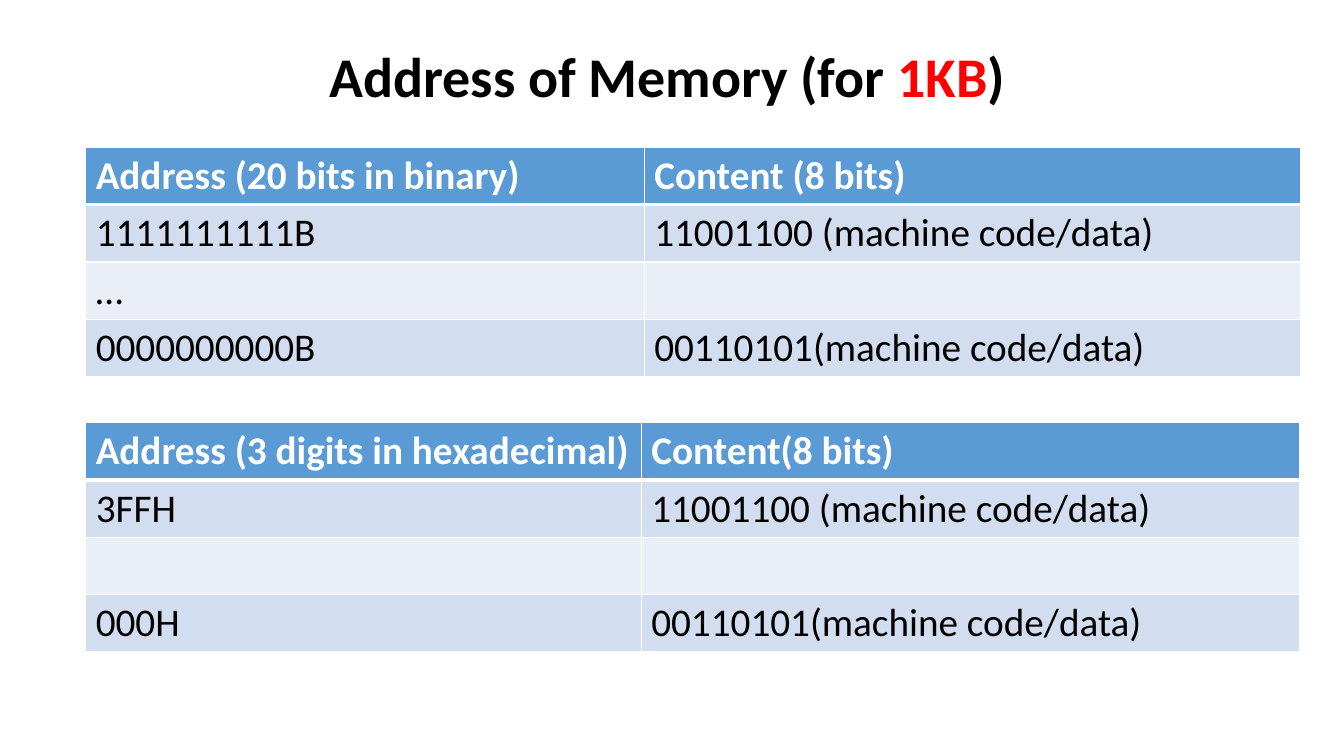
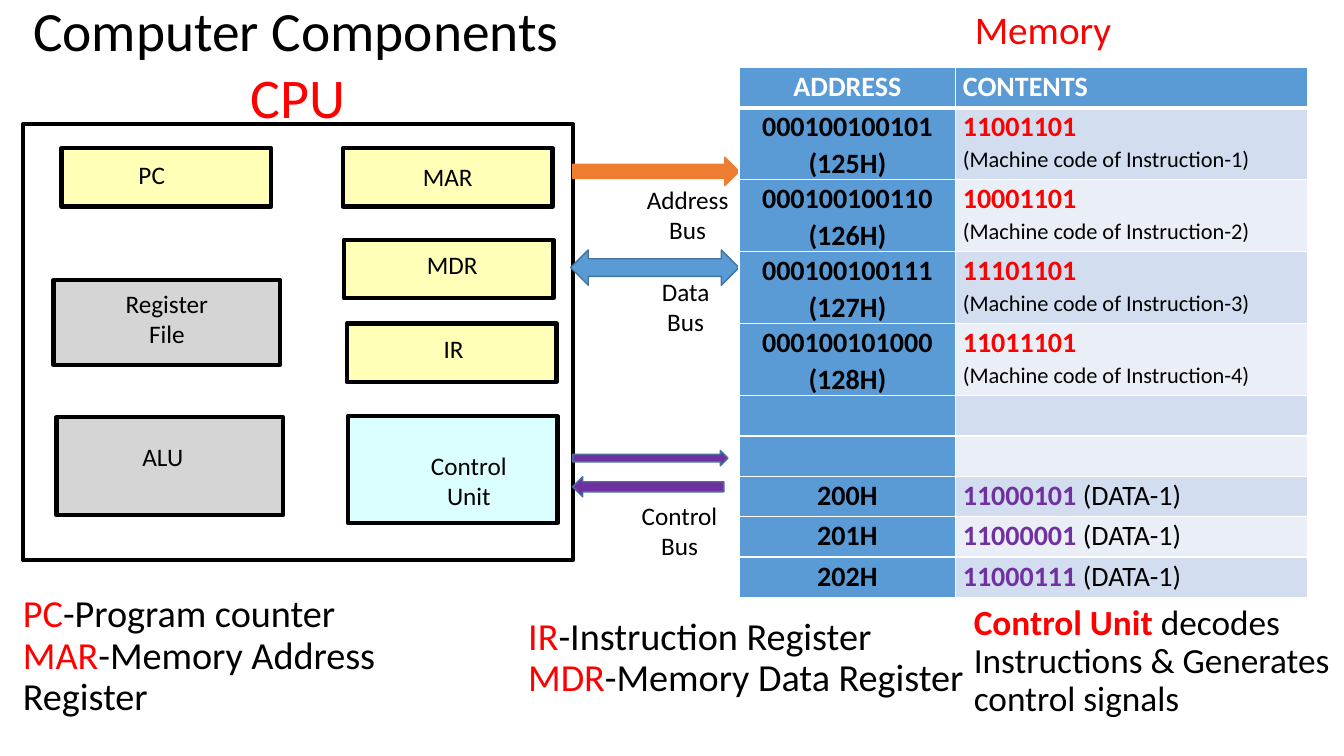
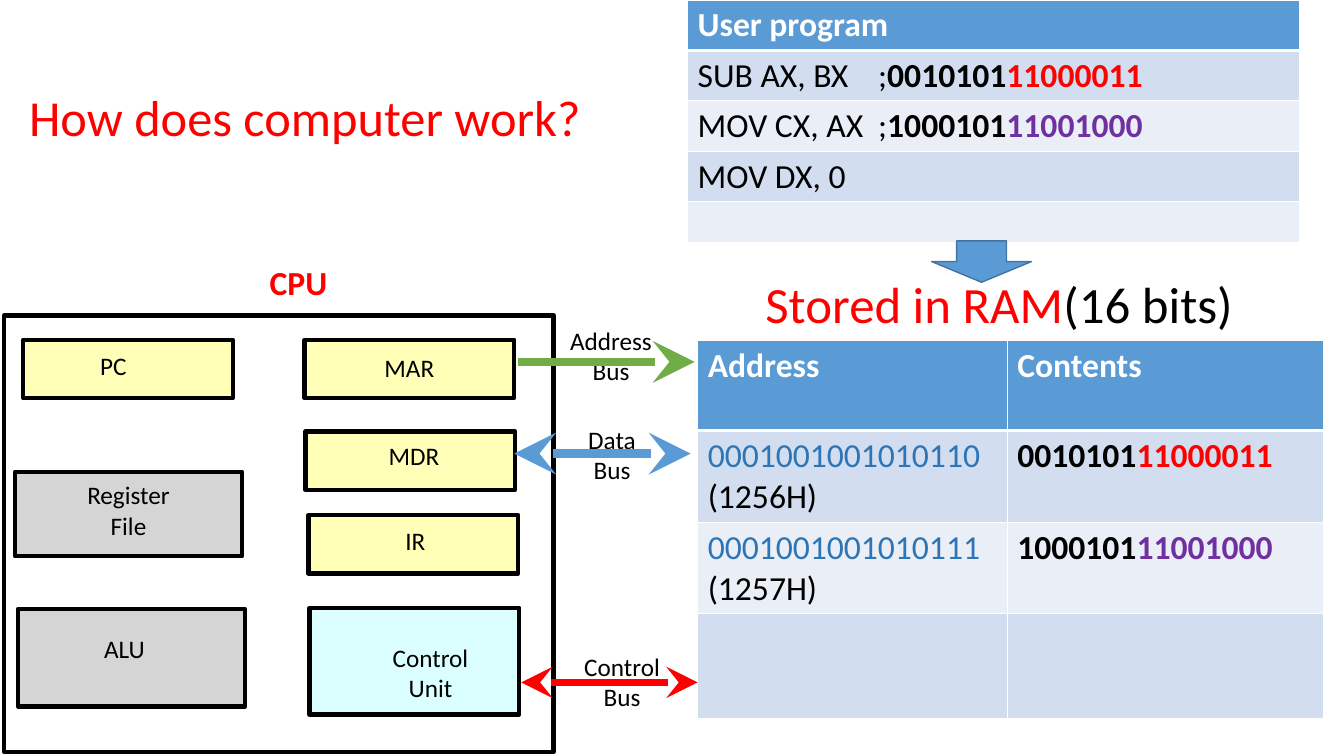
from lxml.etree import SubElement
from pptx import Presentation
from pptx.dml.color import RGBColor
from pptx.enum.shapes import MSO_CONNECTOR, MSO_SHAPE
from pptx.enum.text import MSO_ANCHOR, MSO_AUTO_SIZE, PP_ALIGN
from pptx.oxml.ns import qn
from pptx.util import Emu, Pt

FONT = "Calibri"
BLACK = RGBColor(0x00, 0x00, 0x00)
WHITE = RGBColor(0xFF, 0xFF, 0xFF)
RED = RGBColor(0xFF, 0x00, 0x00)
PURPLE = RGBColor(0x70, 0x30, 0xA0)
BLUE = RGBColor(0x5B, 0x9B, 0xD5)
DARK_BLUE = RGBColor(0x43, 0x73, 0x9E)
ADDRESS_BLUE = RGBColor(0x2E, 0x75, 0xB6)
ORANGE = RGBColor(0xED, 0x7D, 0x31)
GREEN = RGBColor(0x70, 0xAD, 0x47)
BANDS = (RGBColor(0xD2, 0xDE, 0xEF), RGBColor(0xEA, 0xEF, 0xF7))
YELLOW = RGBColor(0xFF, 0xFF, 0x99)
GREY = RGBColor(0xC4, 0xC4, 0xC4)
CYAN = RGBColor(0xCC, 0xFF, 0xFF)

# A line of text is a string or a list of runs: (text, colour, bold, size)

BINARY_ROWS = [
    ("Address (20 bits in binary)", "Content (8 bits)"),
    ("1111111111B", "11001100 (machine code/data)"),
    ("…", ""),
    ("0000000000B", "00110101(machine code/data)"),
]
HEXADECIMAL_ROWS = [
    ("Address (3 digits in hexadecimal)", "Content(8 bits)"),
    ("3FFH", "11001100 (machine code/data)"),
    ("", ""),
    ("000H", "00110101(machine code/data)"),
]

INSTRUCTIONS = [
    ("000100100101", "125H", "11001101"),
    ("000100100110", "126H", "10001101"),
    ("000100100111", "127H", "11101101"),
    ("000100101000", "128H", "11011101"),
]
DATA = [("200H", "11000101"), ("201H", "11000001"), ("202H", "11000111")]
MEMORY_ROWS = [
    ("ADDRESS", "CONTENTS"),
    *[([address, f"({short})"],
       [[(code, RED, True)],
        [(f"(Machine code of Instruction-{number})", BLACK, False, 16)]])
      for number, (address, short, code) in enumerate(INSTRUCTIONS, 1)],
    ("", ""),
    ("", ""),
    *[(address, [[(value + " ", PURPLE, True), ("(DATA-1)", BLACK)]])
      for address, value in DATA],
]

SUB_CODE = [("0010101", BLACK, True), ("11000011", RED, True)]
MOV_CODE = [("1000101", BLACK, True), ("11001000", PURPLE, True)]
PROGRAM_ROWS = [
    ("User program",),
    ([[("SUB AX, BX\t;", BLACK), *SUB_CODE]],),
    ([[("MOV CX, AX\t;", BLACK), *MOV_CODE]],),
    ("MOV DX, 0",),
    ("",),
]
RAM_ROWS = [
    ("Address", "Contents"),
    ([[("0001001001010110", ADDRESS_BLUE)], "(1256H)"], [SUB_CODE]),
    ([[("0001001001010111", ADDRESS_BLUE)], "(1257H)"], [MOV_CODE]),
    ("", ""),
]

# Box and label places are measured from the corner of the CPU diagram
CPU_FRAME_SIZE = (545, 433)
REGISTER_SIZE = (208, 58)
CPU_PARTS = [  # fill, box corner, box size, label lines, label left, top, width
    (GREY, (30, 155), (225, 84), ["Register", "File"], (91, 158, 103)),
    (GREY, (33, 291), (225, 97), ["ALU"], (108, 310, 61)),
    (CYAN, (322, 290), (208, 106), ["Control", "Unit"], (394, 319, 96)),
    (YELLOW, (321, 198), REGISTER_SIZE, ["IR"], (407, 203, 40)),
    (YELLOW, (38, 24), REGISTER_SIZE, ["PC"], (104, 30, 47)),
    (YELLOW, (317, 24), REGISTER_SIZE, ["MAR"], (386, 32, 70)),
    (YELLOW, (318, 115), REGISTER_SIZE, ["MDR"], (390, 119, 71)),
]

BUS_WIDTHS = {"Address": 102, "Data": 68, "Control": 96}
COMPONENT_BUS_LABELS = {"Address": (631, 178), "Data": (646, 269),
                        "Control": (626, 491)}
WORK_BUS_LABELS = {"Address": (555, 318), "Data": (573, 416),
                   "Control": (569, 641)}
BUS_ARROWS = [
    (MSO_SHAPE.RIGHT_ARROW, (568, 156, 165, 28), ORANGE, ORANGE),
    (MSO_SHAPE.LEFT_RIGHT_ARROW, (566, 248, 167, 35), BLUE, DARK_BLUE),
    (MSO_SHAPE.RIGHT_ARROW, (568, 447, 154, 15), PURPLE, DARK_BLUE),
    (MSO_SHAPE.LEFT_ARROW, (568, 473, 150, 20), PURPLE, DARK_BLUE),
]
BUS_LINE_LENGTH = 175
BUS_LINES = [  # left, y, colour, points, both ends
    (514, 359, GREEN, 6, False),
    (510, 450, BLUE, 6, True),
    (517, 677, RED, 4.5, True),
]
NOTES = [
    ((13, 583, 490, 137), 27.3,
     [[("PC", RED), ("-Program counter", BLACK)],
      [("MAR", RED), ("-Memory Address Register", BLACK)]]),
    ((514, 585, 475, 137), 27.3,
     [[("IR", RED), ("-Instruction Register", BLACK)],
      [("MDR", RED), ("-Memory Data Register", BLACK)]]),
    ((956, 588, 378, 137), 25.2,
     [[("Control Unit ", RED, True),
       ("decodes Instructions & Generates control signals", BLACK)]]),
]


def px(length):
    return Emu(length * 9144)


def px_all(lengths):
    return [px(length) for length in lengths]


def set_font(font, size, color, bold):
    font.size = Pt(size) if size else None
    font.color.rgb = color
    font.bold = bold


def write_text(frame, lines, size, color=BLACK, bold=False,
               align=PP_ALIGN.LEFT, spacing=None, tab=None):
    for index, line in enumerate(lines):
        paragraph = frame.add_paragraph() if index else frame.paragraphs[0]
        if tab:
            stops = SubElement(paragraph._p.get_or_add_pPr(), qn("a:tabLst"))
            SubElement(stops, qn("a:tab"), pos=str(px(tab)), algn="l")
        paragraph.alignment = align
        paragraph.line_spacing = spacing
        paragraph.font.name = FONT
        set_font(paragraph.font, size, color, bold)
        if isinstance(line, str):
            paragraph.add_run().text = line
            continue
        for text, run_color, *rest in line:
            run_bold, run_size = (rest + [False, None][len(rest):])
            run = paragraph.add_run()
            run.text = text
            set_font(run.font, run_size, run_color, run_bold)


def add_text(slide, box, lines, size, **style):
    """Add wrapped text, centred vertically in its box."""
    frame = slide.shapes.add_textbox(*px_all(box)).text_frame
    frame.word_wrap = True
    frame.vertical_anchor = MSO_ANCHOR.MIDDLE
    write_text(frame, lines, size, **{"spacing": 0.9, **style})


def add_label(slide, left, top, width, lines, size=18, **style):
    """Add a centred label that fits its unwrapped lines."""
    height = round(len(lines) * size * 1.7) + 10
    box = slide.shapes.add_textbox(*px_all((left, top, width, height)))
    box.text_frame.word_wrap = False
    box.text_frame.auto_size = MSO_AUTO_SIZE.SHAPE_TO_FIT_TEXT
    write_text(box.text_frame, lines, size, align=PP_ALIGN.CENTER, **style)


def add_bus_labels(slide, places):
    for name, (left, top) in places.items():
        add_label(slide, left, top, BUS_WIDTHS[name], [name, "Bus"])


def add_shape(slide, kind, box, fill, line, points=1, opacity=None):
    shape = slide.shapes.add_shape(kind, *px_all(box))
    shape.shadow.inherit = False
    shape.line.color.rgb = line
    shape.line.width = Pt(points)
    if fill is None:
        shape.fill.background()
        return
    shape.fill.solid()
    shape.fill.fore_color.rgb = fill
    if opacity:
        color = shape._element.spPr.find(qn("a:solidFill"))[0]
        SubElement(color, qn("a:alpha"), val=str(opacity * 1000))


def add_cpu(slide, frame_left, parts_left, top):
    add_shape(slide, MSO_SHAPE.RECTANGLE, (frame_left, top, *CPU_FRAME_SIZE),
              None, BLACK, 3)
    for fill, (x, y), size, lines, (label_x, label_y, width) in CPU_PARTS:
        add_shape(slide, MSO_SHAPE.RECTANGLE, (parts_left + x, top + y, *size),
                  fill, BLACK, 3, opacity=70)
        add_label(slide, parts_left + label_x, top + label_y, width, lines)


def set_borders(cell, top, bottom):
    """Draw white cell borders; top and bottom widths are in points."""
    properties = cell._tc.get_or_add_tcPr()
    sides = (("L", 1), ("R", 1), ("T", top), ("B", bottom))
    for side, points in sides:
        line = SubElement(properties, qn(f"a:ln{side}"), w=str(Pt(points)))
        fill = SubElement(line, qn("a:solidFill"))
        SubElement(fill, qn("a:srgbClr"), val=str(WHITE))


def add_table(slide, corner, widths, heights, rows, size,
              insets=(10, 5), blue_column=False, **style):
    box = (*corner, sum(widths), sum(heights))
    table = slide.shapes.add_table(len(rows), len(widths), *px_all(box)).table
    for column, width in zip(table.columns, widths):
        column.width = px(width)
    for r, (row, height) in enumerate(zip(rows, heights)):
        table.rows[r].height = px(height)
        for c, content in enumerate(row):
            cell = table.cell(r, c)
            heading = blue_column and c == 0
            set_borders(cell, 3 if r == 1 else 1, 3 if r == 0 else 1)
            cell.fill.solid()
            cell.fill.fore_color.rgb = (
                BLUE if r == 0 or heading else BANDS[(r - 1) % 2])
            cell.margin_left = cell.margin_right = px(insets[0])
            cell.margin_top = cell.margin_bottom = px(insets[1])
            if content:
                lines = [content] if isinstance(content, str) else content
                write_text(cell.text_frame, lines, size,
                           color=BLACK if r else WHITE,
                           bold=r == 0 or heading,
                           align=PP_ALIGN.CENTER if heading else PP_ALIGN.LEFT,
                           **style)


def add_bus_line(slide, left, y, color, points, both_ends):
    connector = slide.shapes.add_connector(
        MSO_CONNECTOR.STRAIGHT, *px_all((left, y, left + BUS_LINE_LENGTH, y)))
    connector.line.color.rgb = color
    connector.line.width = Pt(points)
    line = connector.line._get_or_add_ln()
    for end in ("headEnd", "tailEnd") if both_ends else ("tailEnd",):
        SubElement(line, qn(f"a:{end}"), type="stealth", w="lg", len="lg")
    SubElement(connector._element.spPr, qn("a:effectLst"))


def build_address_slide(slide):
    add_text(slide, (237, 37, 850, 83),
             [[("Address of Memory (for ", BLACK, True), ("1KB", RED, True),
               (")", BLACK, True)]], 40, align=PP_ALIGN.CENTER)
    add_table(slide, (85, 146), (554, 651), [57] * 4, BINARY_ROWS, 28)
    add_table(slide, (85, 419), (551, 653), [57] * 4, HEXADECIMAL_ROWS, 28)


def build_components_slide(slide):
    add_cpu(slide, 23, 23, 123)
    add_bus_labels(slide, COMPONENT_BUS_LABELS)
    add_label(slide, 238, 57, 115, ["CPU"], 40, color=RED)
    add_label(slide, 956, 0, 157, ["Memory"], 28, color=RED)
    add_text(slide, (23, 7, 545, 52), ["Computer Components"], 39.6)
    for box, size, lines in NOTES:
        add_text(slide, box, lines, size)
    for kind, box, fill, line in BUS_ARROWS:
        add_shape(slide, kind, box, fill, line)
    add_table(slide, (733, 67), (215, 349), [40] + [71] * 4 + [40] * 5,
              MEMORY_ROWS, 20, insets=(7, 0), blue_column=True, spacing=1.07)
    # The first heading is centred like the column below it


def build_work_slide(slide):
    add_table(slide, (692, 338), (307, 314), (89, 91, 91, 104), RAM_ROWS, 24)
    add_text(slide, (19, 31, 626, 177), ["How does computer work?"], 36,
             color=RED)
    add_table(slide, (682, 0), (607,), [50] * 4 + [41], PROGRAM_ROWS, 24,
              tab=179)
    add_shape(slide, MSO_SHAPE.DOWN_ARROW, (924, 239, 99, 41), BLUE, DARK_BLUE)
    add_cpu(slide, 4, -15, 313)
    add_label(slide, 257, 255, 78, ["CPU"], 24, color=RED, bold=True)
    add_bus_labels(slide, WORK_BUS_LABELS)
    for bus_line in BUS_LINES:
        add_bus_line(slide, *bus_line)
    add_text(slide, (706, 280, 570, 57),
             [[("Stored in RAM", RED), ("(16 bits)", BLACK)]], 36.3,
             align=PP_ALIGN.CENTER, spacing=0.7)


def main():
    presentation = Presentation()
    presentation.slide_width = px(1333)
    presentation.slide_height = px(750)
    for build in (build_address_slide, build_components_slide,
                  build_work_slide):
        build(presentation.slides.add_slide(presentation.slide_layouts[6]))
    presentation.save("out.pptx")


if __name__ == "__main__":
    main()
